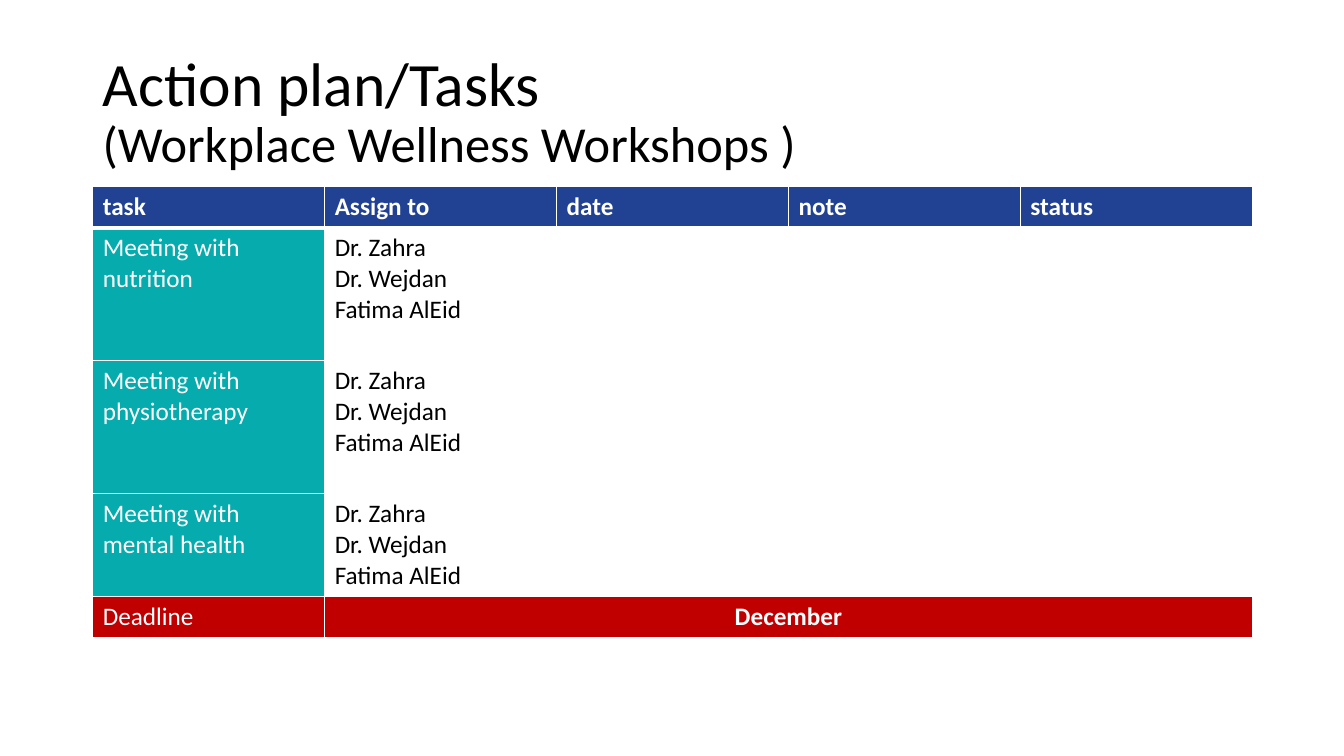
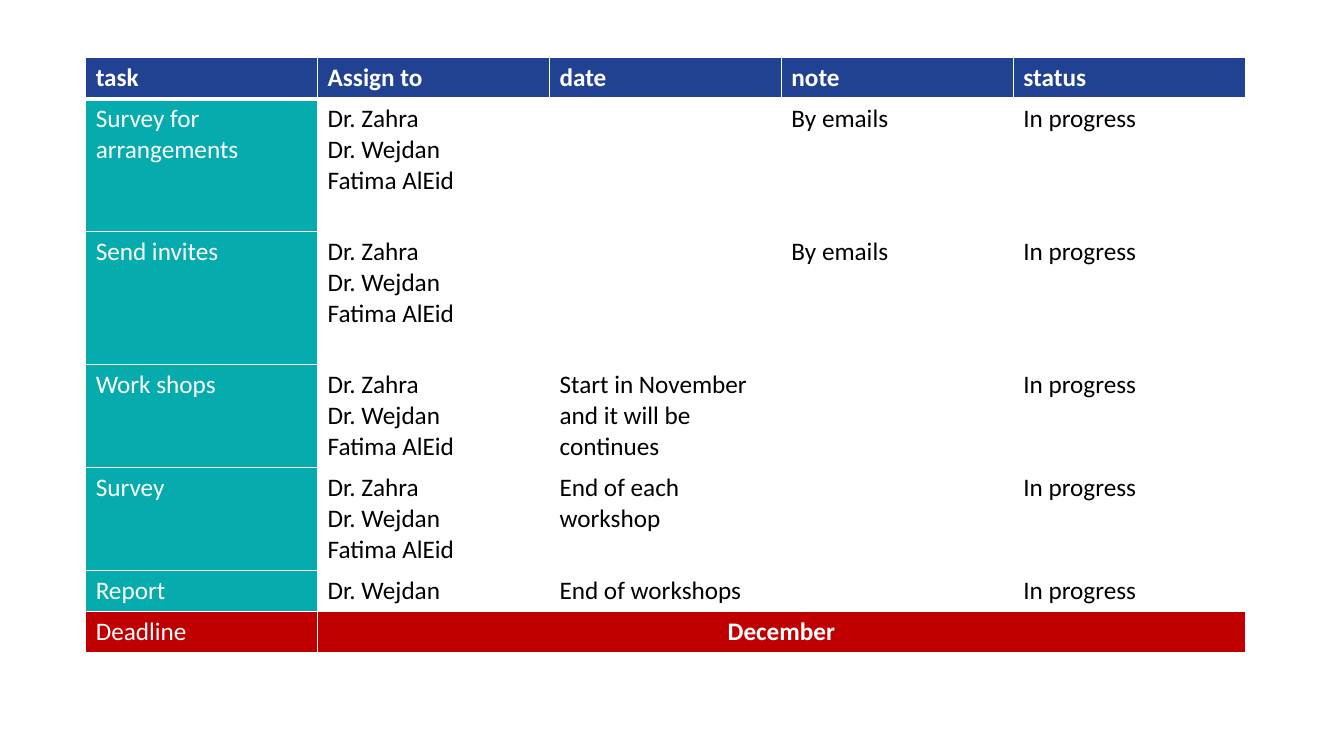
from dataclasses import dataclass

from lxml import etree
from pptx import Presentation
from pptx.dml.color import RGBColor
from pptx.enum.text import MSO_ANCHOR, PP_ALIGN
from pptx.oxml.ns import qn
from pptx.util import Pt

EMU_PER_PX = 9144
PAGE_WIDTH, PAGE_HEIGHT = 1333, 750
COLUMN_WIDTH = 230
LINE_ROW, TEXT_ROW, TALL_ROW = 41, 102, 132

MIDDLE = MSO_ANCHOR.MIDDLE
LEFT, CENTER = PP_ALIGN.LEFT, PP_ALIGN.CENTER

FONT = "Calibri"
WHITE, BLACK = "FFFFFF", "000000"
NAVY, TEAL, RED = "214293", "05ABAD", "C00000"
THIN, THICK = 1, 3

HEADERS = ("task", "Assign to", "date", "note", "status")
TEAM = "Dr. Zahra\nDr. Wejdan\nFatima AlEid"
IN_PROGRESS = "In progress"


@dataclass(frozen=True)
class Task:
    name: str
    height: int
    people: str = TEAM
    date: str = ""
    note: str = ""
    status: str = ""

    def texts(self) -> tuple[str, ...]:
        return self.name, self.people, self.date, self.note, self.status


@dataclass(frozen=True)
class CellStyle:
    fill: str
    color: str = WHITE
    bold: bool = False
    align: PP_ALIGN = LEFT
    top: int = THIN
    bottom: int = THIN


HEADER = CellStyle(NAVY, bold=True, bottom=THICK)
DEADLINE = CellStyle(RED)
DEADLINE_DATE = CellStyle(RED, bold=True, align=CENTER)

MEETINGS = (
    Task("Meeting with nutrition", TALL_ROW),
    Task("Meeting with physiotherapy", TALL_ROW),
    Task("Meeting with mental health", TEXT_ROW),
)
WORKSHOPS = (
    Task("Survey for arrangements", TALL_ROW, note="By emails", status=IN_PROGRESS),
    Task("Send invites", TALL_ROW, note="By emails", status=IN_PROGRESS),
    Task("Work shops", TEXT_ROW, date="Start in November and it will be continues",
         status=IN_PROGRESS),
    Task("Survey", TEXT_ROW, date="End of each workshop", status=IN_PROGRESS),
    Task("Report", LINE_ROW, people="Dr. Wejdan", date="End of workshops",
         status=IN_PROGRESS),
)


def px(length: int) -> int:
    return length * EMU_PER_PX


def rgb(color: str) -> RGBColor:
    return RGBColor.from_string(color)


def format_span(span, size: int, color: str, bold: bool = False) -> None:
    span.font.name = FONT
    span.font.size = Pt(size)
    span.font.bold = bold
    span.font.color.rgb = rgb(color)


def add_borders(cell, top: int, bottom: int) -> None:
    properties = cell._tc.get_or_add_tcPr()
    sides = (("a:lnL", THIN), ("a:lnR", THIN), ("a:lnT", top), ("a:lnB", bottom))
    for position, (tag, width) in enumerate(sides):
        line = etree.Element(qn(tag), w=str(Pt(width)))
        fill = etree.SubElement(line, qn("a:solidFill"))
        etree.SubElement(fill, qn("a:srgbClr"), val=WHITE)
        properties.insert(position, line)


def fill_cell(cell, text: str, style: CellStyle) -> None:
    cell.fill.solid()
    cell.fill.fore_color.rgb = rgb(style.fill)
    add_borders(cell, style.top, style.bottom)
    cell.text_frame.text = text
    for para in cell.text_frame.paragraphs:
        para.alignment = style.align
        for span in para.runs:
            format_span(span, 18, style.color, style.bold)


def fill_row(table, row: int, texts: tuple[str, ...], first: CellStyle,
             others: CellStyle) -> None:
    for column, text in enumerate(texts):
        fill_cell(table.cell(row, column), text, others if column else first)


def add_plan(page, left: int, top: int, tasks: tuple[Task, ...]) -> None:
    heights = [LINE_ROW, *(task.height for task in tasks), LINE_ROW]
    frame = page.shapes.add_table(
        len(heights), len(HEADERS), px(left), px(top),
        px(COLUMN_WIDTH * len(HEADERS)), px(sum(heights)))
    table = frame.table
    table.horz_banding = False
    for column in table.columns:
        column.width = px(COLUMN_WIDTH)
    for row, height in zip(table.rows, heights):
        row.height = px(height)

    fill_row(table, 0, HEADERS, HEADER, HEADER)
    for row, task in enumerate(tasks, start=1):
        top_line = THICK if row == 1 else THIN
        fill_row(table, row, task.texts(), CellStyle(TEAL, top=top_line),
                 CellStyle(WHITE, BLACK, top=top_line))
    last = len(heights) - 1
    fill_row(table, last, ("Deadline", "December", "", "", ""), DEADLINE, DEADLINE_DATE)
    table.cell(last, 1).merge(table.cell(last, len(HEADERS) - 1))


def add_title(page, title: str, subtitle: str) -> None:
    box = page.shapes.add_textbox(px(92), px(40), px(1150), px(145))
    box.text_frame.word_wrap = True
    box.text_frame.vertical_anchor = MIDDLE
    para = box.text_frame.paragraphs[0]
    para.text = f"{title}\v{subtitle}"
    para.line_spacing = 0.9
    for span, size in zip(para.runs, (44, 36)):
        format_span(span, size, BLACK)


def main() -> None:
    deck = Presentation()
    deck.slide_width, deck.slide_height = px(PAGE_WIDTH), px(PAGE_HEIGHT)
    blank = deck.slide_layouts[6]

    page = deck.slides.add_slide(blank)
    add_title(page, "Action plan/Tasks ", "(Workplace Wellness Workshops )")
    add_plan(page, 92, 185, MEETINGS)

    page = deck.slides.add_slide(blank)
    add_plan(page, 85, 57, WORKSHOPS)

    deck.save("out.pptx")


if __name__ == "__main__":
    main()
